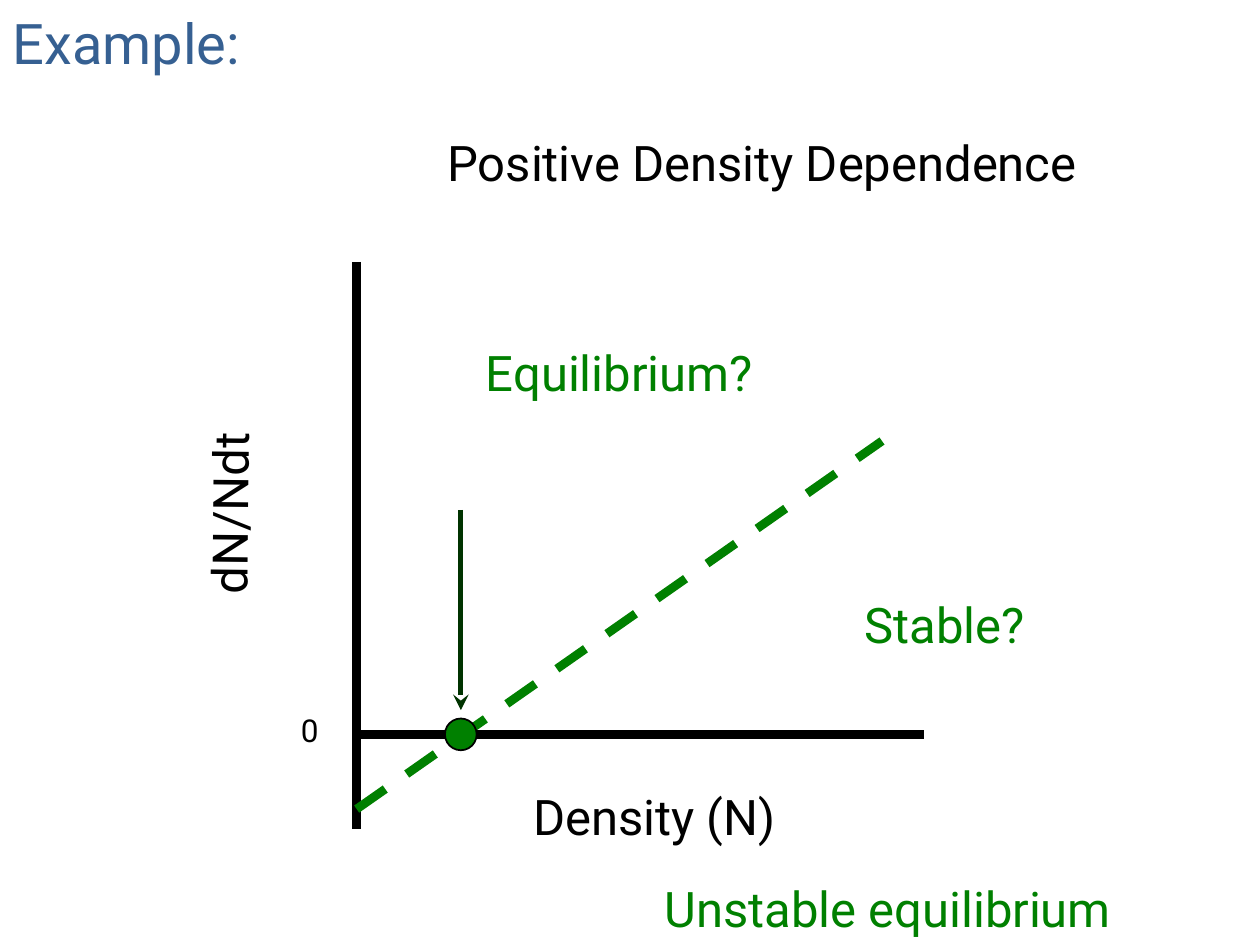
from lxml import etree
from pptx import Presentation
from pptx.dml.color import RGBColor
from pptx.enum.dml import MSO_LINE
from pptx.enum.shapes import MSO_CONNECTOR, MSO_SHAPE
from pptx.enum.text import MSO_ANCHOR, PP_ALIGN
from pptx.oxml.ns import qn
from pptx.util import Cm, Pt

BLACK = RGBColor(0x00, 0x00, 0x00)
GREEN = RGBColor(0x00, 0x80, 0x00)
DARK_GREEN = RGBColor(0x00, 0x33, 0x00)
BLUE = RGBColor(0x36, 0x60, 0x92)
FONT = "Roboto"
STRAIGHT = MSO_CONNECTOR.STRAIGHT
OVAL = MSO_SHAPE.OVAL
DASH = MSO_LINE.DASH
TOP = MSO_ANCHOR.TOP
CENTER = PP_ALIGN.CENTER
LEFT = PP_ALIGN.LEFT
TITLE_ONLY = 5
LABEL_HEIGHT = 1.45


def format_text(shape, text, size, color, alignment=CENTER, wrap=True):
    text_frame = shape.text_frame
    text_frame.text = text
    text_frame.word_wrap = wrap
    text_frame.vertical_anchor = TOP
    paragraph = text_frame.paragraphs[0]
    paragraph.alignment = alignment
    font = paragraph.runs[0].font
    font.name = FONT
    font.size = Pt(size)
    font.color.rgb = color


def add_label(slide, text, left, top, width, color=BLACK, size=28,
              height=LABEL_HEIGHT, wrap=True):
    label = slide.shapes.add_textbox(Cm(left), Cm(top), Cm(width), Cm(height))
    format_text(label, text, size, color, wrap=wrap)
    return label


def add_line(slide, start, end, color, width):
    line = slide.shapes.add_connector(
        STRAIGHT, Cm(start[0]), Cm(start[1]), Cm(end[0]), Cm(end[1]))
    line.line.color.rgb = color
    line.line.width = Pt(width)
    etree.SubElement(line._element.spPr, qn("a:effectLst"))
    return line


def add_title(slide, left, top, width, height):
    title = slide.shapes.title
    title.left, title.top = Cm(left), Cm(top)
    title.width, title.height = Cm(width), Cm(height)
    format_text(title, "Example:", 32, BLUE, LEFT)


def add_axes(slide, left, top, size, zero):
    """Draw the square plot's axes, crossing at height zero, with labels."""
    add_line(slide, (left, top), (left, top + size), BLACK, 5)
    add_line(slide, (left, zero), (left + size, zero), BLACK, 5)
    add_label(slide, "0", left - 1.4, zero - 0.59, 0.91,
              size=18, height=1.02, wrap=False)
    add_label(slide, "Density (N)", left + 3.3, zero + 0.93, 5.41, wrap=False)
    rate = add_label(slide, "dN/Ndt", left - 4.57, top + 4.34, 3.99, wrap=False)
    rate.rotation = 270.6


def add_growth_line(slide, left, top, zero):
    """Draw the dashed growth line and mark where it crosses zero."""
    growth = add_line(slide, (left, top + 11.03), (left + 10.59, top + 3.61),
                      GREEN, 5)
    growth.line.dash_style = DASH

    crossing = left + 2.1
    arrow = add_line(slide, (crossing, top + 5), (crossing, zero - 0.49),
                     DARK_GREEN, 3)
    etree.SubElement(arrow.line._get_or_add_ln(), qn("a:tailEnd"), type="stealth")

    diameter = 0.64
    point = slide.shapes.add_shape(
        OVAL, Cm(crossing - diameter / 2), Cm(zero - diameter / 2),
        Cm(diameter), Cm(diameter))
    point.shadow.inherit = False
    point.fill.solid()
    point.fill.fore_color.rgb = GREEN
    point.line.color.rgb = BLACK
    point.line.width = Pt(1)


def add_plot(slide, left, top, size):
    zero = top + size * 5 / 6
    add_axes(slide, left, top, size, zero)
    add_growth_line(slide, left, top, zero)
    add_label(slide, "Equilibrium?", left + 0.43, top + 1.5, 9.73, GREEN)
    add_label(slide, "Stable?", left + 6.99, top + 6.58, 9.73, GREEN)


def main():
    presentation = Presentation()
    presentation.slide_width = Cm(25.4)
    presentation.slide_height = Cm(19.05)
    slide = presentation.slides.add_slide(presentation.slide_layouts[TITLE_ONLY])
    add_title(slide, 0, 0.05, 6.99, 1.6)
    add_label(slide, "Positive Density Dependence", 6.15, 2.54, 18.42)
    add_plot(slide, 7.19, 5.28, 11.43)
    add_label(slide, "Unstable equilibrium", 11.86, 17.58, 12.07, GREEN)
    presentation.save("out.pptx")


if __name__ == "__main__":
    main()
